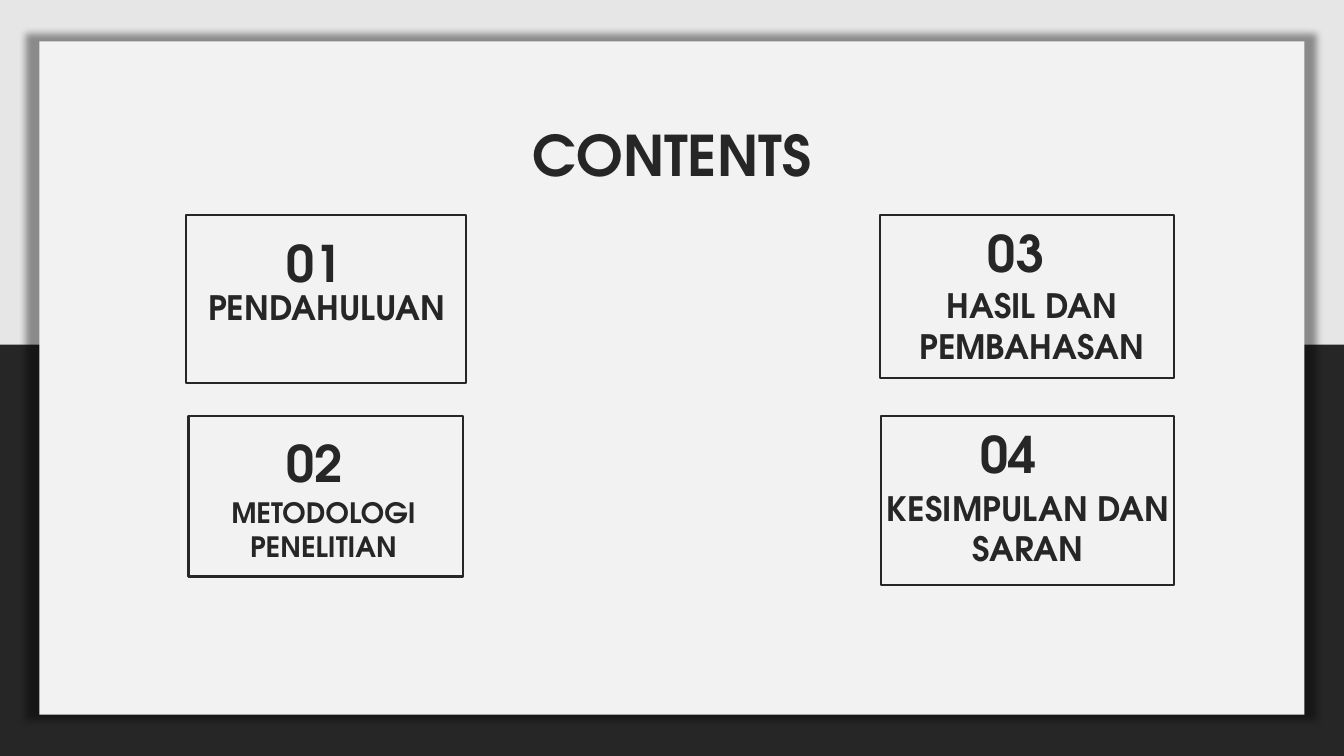
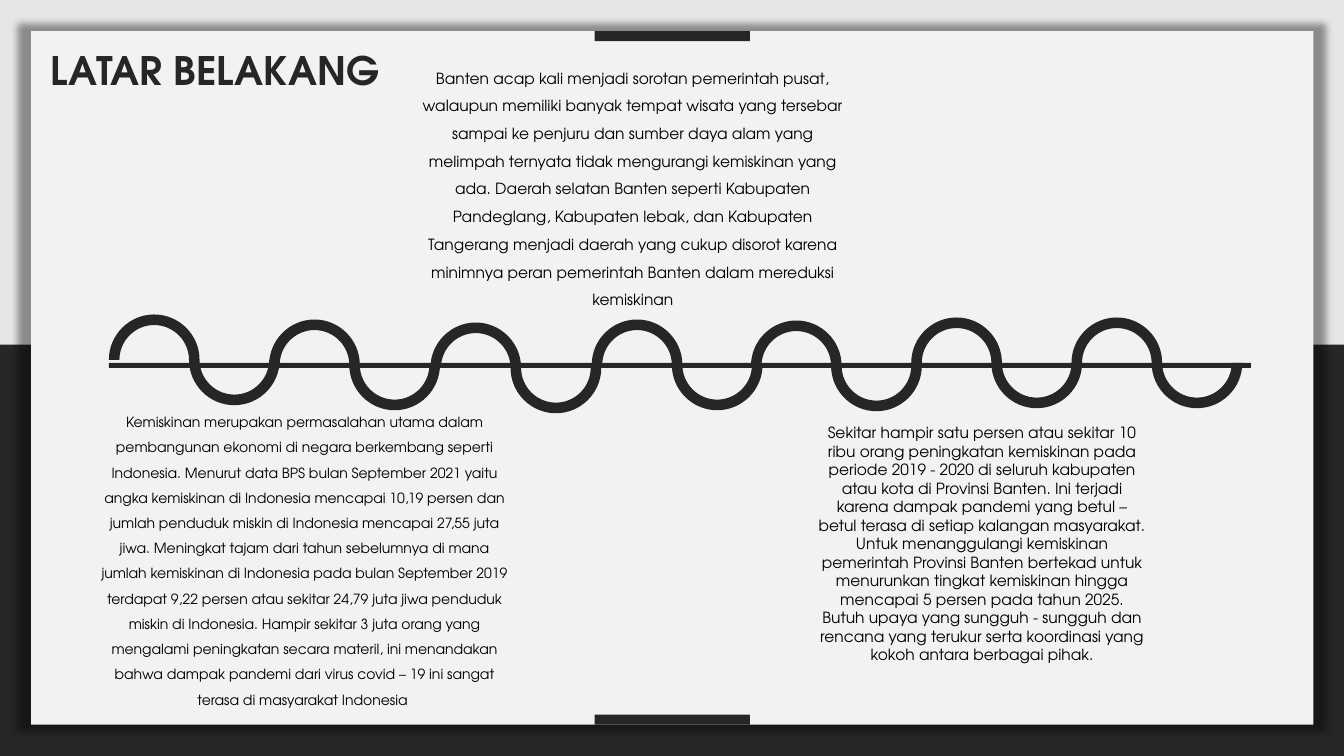
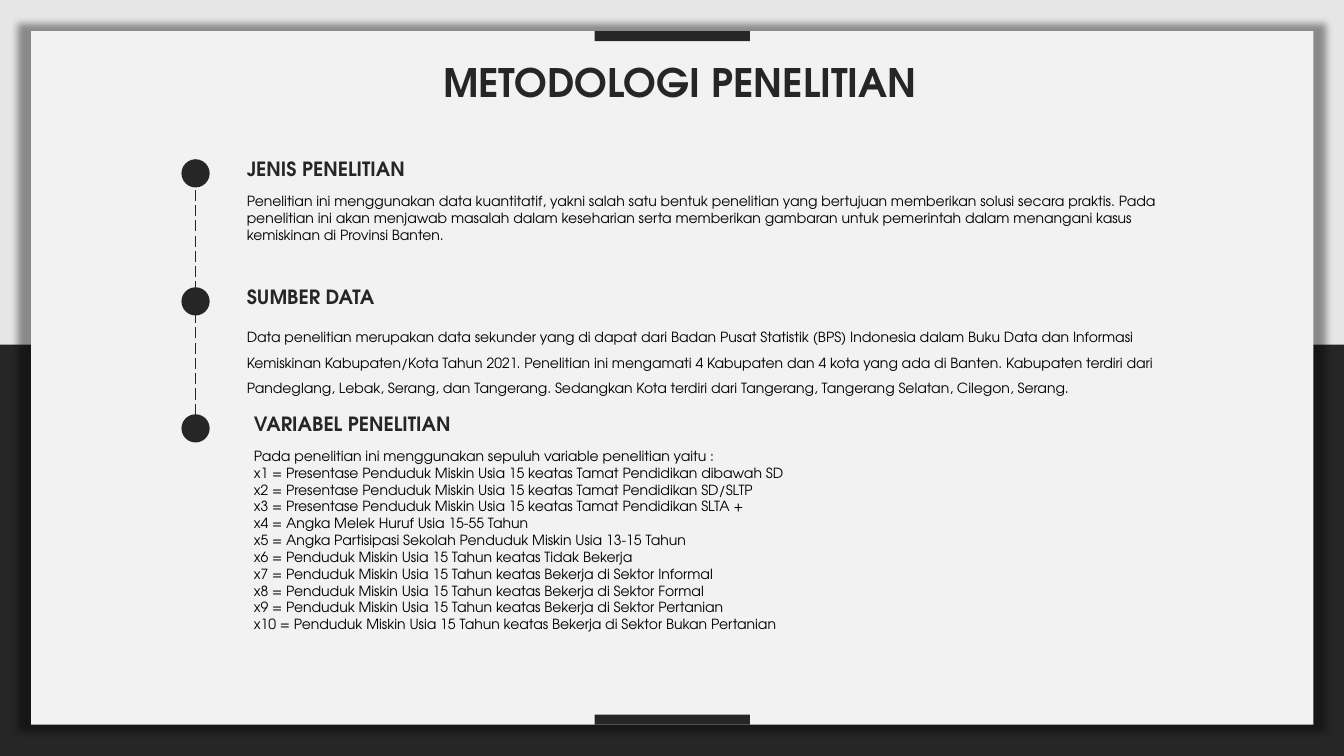
import math

from lxml import etree
from pptx import Presentation
from pptx.dml.color import RGBColor
from pptx.enum.dml import MSO_LINE
from pptx.enum.shapes import MSO_CONNECTOR, MSO_SHAPE
from pptx.enum.text import MSO_ANCHOR, MSO_AUTO_SIZE, PP_ALIGN
from pptx.oxml import parse_xml
from pptx.util import Pt

PX = 9144  # one px is a hundredth of an inch
RECTANGLE, OVAL = MSO_SHAPE.RECTANGLE, MSO_SHAPE.OVAL
LEFT, CENTER = PP_ALIGN.LEFT, PP_ALIGN.CENTER
LONG_DASH = MSO_LINE.LONG_DASH
STRAIGHT = MSO_CONNECTOR.STRAIGHT

DARK, BLACK, BAND, PAPER = "262626", "000000", "E7E6E6", "F2F2F2"
FONT = "TeX Gyre Adventor"
DRAWING = "http://schemas.openxmlformats.org/drawingml/2006/main"
FRAME_FORMAT = {
    "word_wrap": True,
    "auto_size": MSO_AUTO_SIZE.SHAPE_TO_FIT_TEXT,
    "vertical_anchor": MSO_ANCHOR.TOP,
}
PANEL_SHADOW = f"""<a:effectLst xmlns:a="{DRAWING}">
  <a:outerShdw blurRad="63500" sx="102000" sy="102000" algn="ctr" rotWithShape="0">
    <a:srgbClr val="{BLACK}"><a:alpha val="40000"/></a:srgbClr>
  </a:outerShdw>
</a:effectLst>"""


def add_block(slide, kind, box, fill=None, line=None):
    """Add a preset shape with a plain fill or a plain outline."""
    shape = slide.shapes.add_shape(kind, *(value * PX for value in box))
    shape.shadow.inherit = False
    if fill:
        shape.fill.solid()
        shape.fill.fore_color.rgb = RGBColor.from_string(fill)
    else:
        shape.fill.background()
    if line:
        shape.line.color.rgb = RGBColor.from_string(line)
        shape.line.width = Pt(1.5)
    else:
        shape.line.fill.background()
    return shape


def write_text(slide, text, box, size, color=DARK, bold=True, align=CENTER,
               spacing=1.0, shape=None):
    """Place and format text, in a new text box unless a shape is given."""
    left, top, width, height = (value * PX for value in box)
    shape = shape or slide.shapes.add_textbox(left, top, width, height)
    place = {"left": left, "top": top, "width": width, "height": height}
    for name, value in place.items():
        setattr(shape, name, value)
    frame = shape.text_frame
    for name, value in FRAME_FORMAT.items():
        setattr(frame, name, value)
    frame.text = text
    for paragraph in frame.paragraphs:
        paragraph.alignment = align
        paragraph.line_spacing = spacing
        font = paragraph.runs[0].font
        for name, value in {"name": FONT, "size": Pt(size), "bold": bold}.items():
            setattr(font, name, value)
        font.color.rgb = RGBColor.from_string(color)


presentation = Presentation()
presentation.slide_width = 4000 * PX // 3
presentation.slide_height = 750 * PX
title_only = presentation.slide_layouts[5]
master = presentation.slide_master
master.background.fill.solid()
master.background.fill.fore_color.rgb = RGBColor.from_string(DARK)

# Panel, tabs and title of every slide
wide_panel = (31, 31, 1272, 688)
slide_heads = [
    ("CONTENTS", (456, 115, 421, 77), 40, (39, 41, 1255, 668), []),
    ("LATAR BELAKANG", (31, 41, 364, 57), 28, wide_panel, [31, 709]),
    ("METODOLOGI PENELITIAN", (408, 53, 533, 57), 28, wide_panel, [31, 709]),
]
for title, title_box, title_size, panel_box, tab_tops in slide_heads:
    slide = presentation.slides.add_slide(title_only)
    panel = add_block(slide, RECTANGLE, panel_box, PAPER)
    properties = panel._element.spPr
    properties.remove(properties.find(f"{{{DRAWING}}}effectLst"))
    properties.append(parse_xml(PANEL_SHADOW))
    for tab_top in tab_tops:
        add_block(slide, RECTANGLE, (590, tab_top, 154, 10), DARK)
    write_text(slide, title, title_box, title_size, shape=slide.shapes.title)
    slide.shapes._spTree.append(slide.shapes.title._element)

contents, background, method = presentation.slides

# Light upper band, moved to the master
band = add_block(contents, RECTANGLE, (-2, 0, 1338, 342), BAND)
master.shapes._spTree.insert(2, band._element)

# Contents: four framed chapters
chapters = [
    ("01", (231, 225, 163, 45), "PENDAHULUAN", (181, 280, 286, 32), 24,
     (185, 213, 277, 167)),
    ("02", (234, 424, 156, 71), "METODOLOGI PENELITIAN", (174, 487, 294, 77), 20,
     (187, 413, 272, 159)),
    ("03", (922, 215, 172, 71), "HASIL DAN PEMBAHASAN", (873, 278, 301, 91), 24,
     (873, 213, 292, 162)),
    ("04", (914, 415, 174, 71), "KESIMPULAN DAN SARAN", (867, 479, 306, 95), 24,
     (874, 413, 291, 167)),
]
for number, number_box, chapter, chapter_box, chapter_size, frame_box in chapters:
    add_block(contents, RECTANGLE, frame_box, line=DARK)
    write_text(contents, number, number_box, 36)
    write_text(contents, chapter, chapter_box, chapter_size)

# Background: three passages
passages = [
    ("Kemiskinan merupakan permasalahan utama dalam pembangunan ekonomi di negara "
     "berkembang seperti Indonesia. Menurut data BPS bulan September 2021 yaitu angka "
     "kemiskinan di Indonesia mencapai 10,19 persen dan jumlah penduduk miskin di "
     "Indonesia mencapai 27,55 juta jiwa. Meningkat tajam dari tahun sebelumnya di mana "
     "jumlah kemiskinan di Indonesia pada bulan September 2019 terdapat 9,22 persen atau "
     "sekitar 24,79 juta jiwa penduduk miskin di Indonesia. Hampir sekitar 3 juta orang "
     "yang mengalami peningkatan secara materil, ini menandakan bahwa dampak pandemi dari "
     "virus covid – 19 ini sangat terasa di masyarakat Indonesia ",
     (88, 397, 428, 310), 10, 1.5),
    ("Banten acap kali menjadi sorotan pemerintah pusat, walaupun memiliki banyak tempat "
     "wisata yang tersebar sampai ke penjuru dan sumber daya alam yang melimpah ternyata "
     "tidak mengurangi kemiskinan yang ada. Daerah selatan Banten seperti Kabupaten "
     "Pandeglang, Kabupaten lebak, dan Kabupaten Tangerang menjadi daerah yang cukup "
     "disorot karena minimnya peran pemerintah Banten dalam mereduksi kemiskinan",
     (400, 54, 456, 256), 11, 1.5),
    ("Sekitar hampir satu persen atau sekitar 10 ribu orang peningkatan kemiskinan pada "
     "periode 2019 - 2020 di seluruh kabupaten atau kota di Provinsi Banten. Ini terjadi "
     "karena dampak pandemi yang betul – betul terasa di setiap kalangan masyarakat. "
     "Untuk menanggulangi kemiskinan pemerintah Provinsi Banten bertekad untuk menurunkan "
     "tingkat kemiskinan hingga mencapai 5 persen pada tahun 2025. Butuh upaya yang "
     "sungguh - sungguh dan rencana yang terukur serta koordinasi yang kokoh antara "
     "berbagai pihak.",
     (801, 415, 347, 251), 11, 1.0),
]
for passage, passage_box, passage_size, spacing in passages:
    write_text(background, passage, passage_box, passage_size, BLACK, False,
               spacing=spacing)

# Background: axis and wave, each wave a crest followed by a trough
add_block(background, RECTANGLE, (108, 360, 1133, 5), DARK)
OUTER, INNER = 45, 34.5
HANDLE = 0.55  # length of a curve handle for a quarter circle of radius 1
wave_places = [(108, 312), (267, 317), (427, 320), (587, 317), (745, 318),
               (904, 315), (1063, 315)]
for wave_left, wave_top in wave_places:
    crest_x, middle_y = wave_left + OUTER, wave_top + OUTER
    trough_x = crest_x + OUTER + INNER
    outline = [(wave_left, middle_y)]
    for center_x, radius, start, turn in [
        (crest_x, OUTER, 180, -90), (trough_x, INNER, 180, 90),
        (trough_x, OUTER, 360, -90), (crest_x, INNER, 0, 90),
    ]:
        if start == 360:
            outline.append((trough_x + OUTER, middle_y))
        for first in (start, start + turn):
            (x1, y1), (x2, y2) = [
                (math.cos(math.radians(angle)), -math.sin(math.radians(angle)))
                for angle in (first, first + turn)]
            outline += [(center_x + radius * x, middle_y + radius * y) for x, y in (
                (x1 + HANDLE * x2, y1 + HANDLE * y2),
                (x2 + HANDLE * x1, y2 + HANDLE * y1), (x2, y2))]
    corners = [(round(x * PX), round(y * PX)) for x, y in outline]
    builder = background.shapes.build_freeform(*corners[0], scale=1.0)
    builder.add_line_segments(corners[1:], close=True)
    wave = builder.convert_to_shape()
    # Join every three segments into one curve, except the straight trough end
    segments = list(wave._element.iter(f"{{{DRAWING}}}lnTo"))
    for first in (0, 3, 6, 9, 13, 16, 19, 22):
        curve = etree.Element(f"{{{DRAWING}}}cubicBezTo")
        segments[first].addprevious(curve)
        for segment in segments[first:first + 3]:
            curve.append(segment[0])
            segment.getparent().remove(segment)
    wave.shadow.inherit = False
    wave.fill.solid()
    wave.fill.fore_color.rgb = RGBColor.from_string(DARK)
    wave.line.fill.background()

# Method: dashed timeline with three steps
timeline = method.shapes.add_connector(STRAIGHT, 194 * PX, 158 * PX, 194 * PX, 439 * PX)
timeline.line.color.rgb = RGBColor.from_string(DARK)
timeline.line.width = Pt(1)
timeline.line.dash_style = LONG_DASH
etree.SubElement(timeline._element.spPr, f"{{{DRAWING}}}effectLst")

variables = [
    "Presentase Penduduk Miskin Usia 15 keatas Tamat Pendidikan dibawah SD",
    "Presentase Penduduk Miskin Usia 15 keatas Tamat Pendidikan SD/SLTP",
    "Presentase Penduduk Miskin Usia 15 keatas Tamat Pendidikan SLTA +",
    "Angka Melek Huruf Usia 15-55 Tahun",
    "Angka Partisipasi Sekolah Penduduk Miskin Usia 13-15 Tahun",
    "Penduduk Miskin Usia 15 Tahun keatas Tidak Bekerja",
    "Penduduk Miskin Usia 15 Tahun keatas Bekerja di Sektor Informal",
    "Penduduk Miskin Usia 15 Tahun keatas Bekerja di Sektor Formal",
    "Penduduk Miskin Usia 15 Tahun keatas Bekerja di Sektor Pertanian",
    "Penduduk Miskin Usia 15 Tahun keatas Bekerja di Sektor Bukan Pertanian",
]
variable_lines = [f"x{number} = {name}" for number, name in enumerate(variables, 1)]
steps = [
    ("JENIS PENELITIAN",
     "Penelitian ini menggunakan data kuantitatif, yakni salah satu bentuk penelitian "
     "yang bertujuan memberikan solusi secara praktis. Pada penelitian ini akan menjawab "
     "masalah dalam keseharian serta memberikan gambaran untuk pemerintah dalam menangani "
     "kasus kemiskinan di Provinsi Banten.",
     235, 210, 61, 1.0),
    ("SUMBER DATA",
     "Data penelitian merupakan data sekunder yang di dapat dari Badan Pusat Statistik "
     "(BPS) Indonesia dalam Buku Data dan Informasi Kemiskinan Kabupaten/Kota Tahun 2021. "
     "Penelitian ini mengamati 4 Kabupaten dan 4 kota yang ada di Banten. Kabupaten "
     "terdiri dari Pandeglang, Lebak, Serang, dan Tangerang. Sedangkan Kota terdiri dari "
     "Tangerang, Tangerang Selatan, Cilegon, Serang.",
     235, 210, 83, 1.5),
    ("VARIABEL PENELITIAN",
     "\n".join(["Pada penelitian ini menggunakan sepuluh variable penelitian yaitu :",
                *variable_lines]),
     242, 241, 212, 1.0),
]
for index, (heading, body, left, heading_width, height, spacing) in enumerate(steps):
    step_top = 151 + (253 * index + 1) // 2
    add_block(method, OVAL, (180, step_top + 7, 28, 28), DARK)
    write_text(method, heading, (left, step_top, heading_width, 35), 14, align=LEFT)
    write_text(method, body, (left, step_top + 35, 1181 - left, height), 10, BLACK, False,
               LEFT, spacing)

presentation.save("out.pptx")
